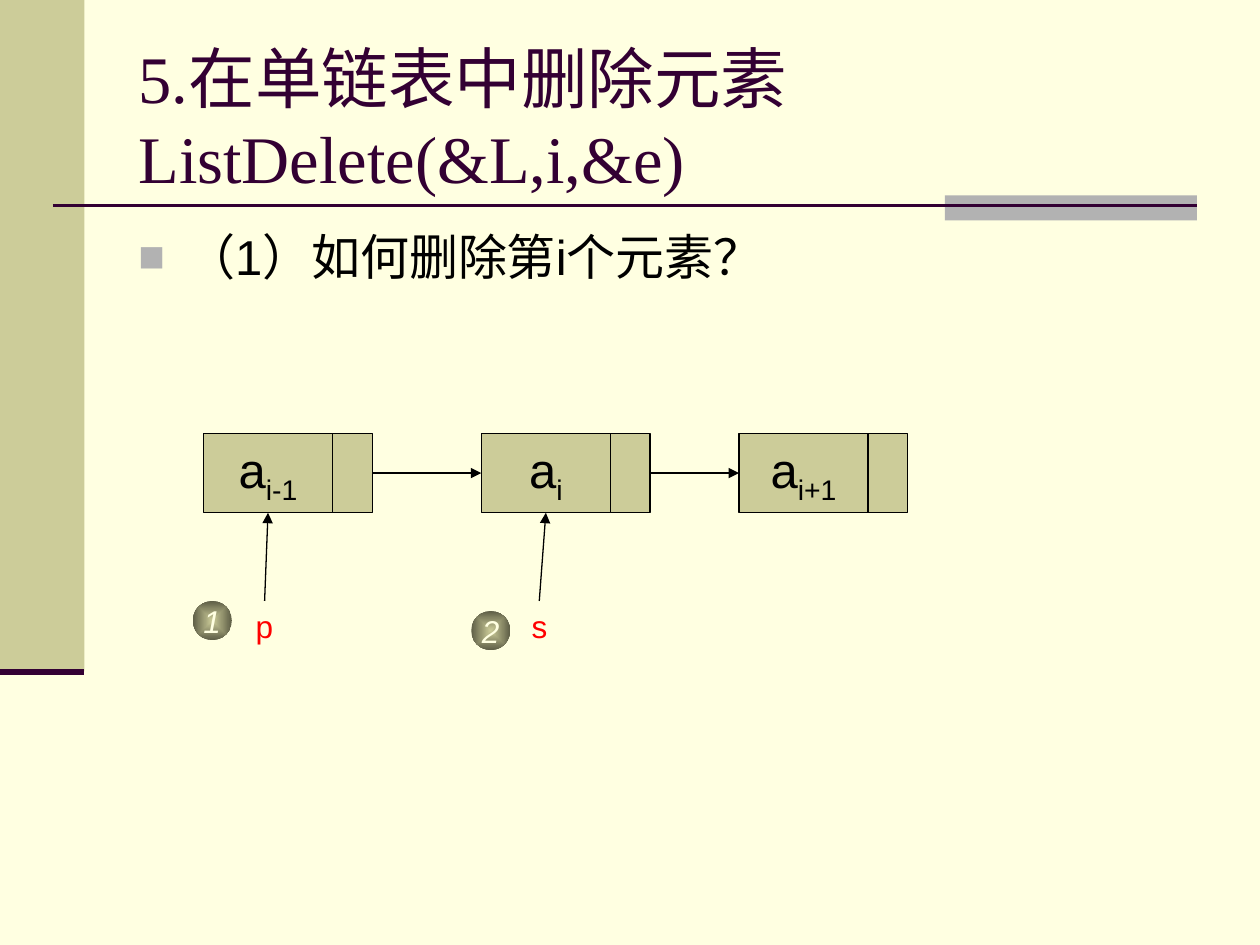
from lxml.etree import SubElement
from pptx import Presentation
from pptx.dml.color import RGBColor
from pptx.enum.shapes import MSO_CONNECTOR as Connector, MSO_SHAPE as Shape
from pptx.enum.text import MSO_ANCHOR as Anchor, MSO_AUTO_SIZE as Fit, PP_ALIGN as Align
from pptx.oxml.ns import qn
from pptx.util import Inches, Pt

color = RGBColor.from_string
PAPER, OLIVE, PLUM, GREY, BLACK, RED = "FFFFE1", "CCCC99", "330033", "B2B2B2", "000000", "FF0000"
CENTRED = {"word_wrap": False, "vertical_anchor": Anchor.MIDDLE}

deck = Presentation()
deck.slide_width, deck.slide_height = Inches(10), Inches(7.5)
unit = deck.slide_width // 100  # grid of 100 columns by 75 rows
slide = deck.slides.add_slide(deck.slide_layouts[5])
slide.background.fill.solid()
slide.background.fill.fore_color.rgb = color(PAPER)


def block(box, fill, outline=None, kind=Shape.RECTANGLE):
    shape = slide.shapes.add_shape(kind, *[round(n * unit) for n in box])
    shape.shadow.inherit = False
    shape.fill.solid()
    shape.fill.fore_color.rgb = color(fill)
    if outline:
        shape.line.color.rgb = color(outline)
        shape.line.width = Pt(0.75)
    else:
        shape.line.fill.background()
    return shape


def write(shape, text, size, ink, frame_format, align=Align.LEFT, subscript="", **font_format):
    frame = shape.text_frame
    for name, value in frame_format.items():
        setattr(frame, name, value)
    frame.text = text
    paragraph = frame.paragraphs[0]
    paragraph.alignment = align
    if subscript:
        low = paragraph.add_run()
        low.text = subscript
        low._r.get_or_add_rPr().set("baseline", "-25000")
    for run in paragraph.runs:
        for name, value in {"name": "Arial", "size": Pt(size), **font_format}.items():
            setattr(run.font, name, value)
        run.font.color.rgb = color(ink)
    return paragraph


# Side band and heading accent
block((0, 0, 6.7, 53.3), OLIVE)
block((75, 15.5, 20, 2), GREY)

# Title
title = slide.shapes.title
title.left, title.top, title.width, title.height = [round(n * unit) for n in (10, 3, 85, 12.5)]
write(title, "5.在单链表中删除元素\vListDelete(&L,i,&e)", 38, PLUM,
      {"word_wrap": True, "auto_size": Fit.NONE, "vertical_anchor": Anchor.MIDDLE},
      name="Times New Roman")

# Question with square bullet
question = slide.shapes.add_textbox(*[round(n * unit) for n in (10, 17.5, 85, 49.5)])
asked = write(question, "（1）如何删除第i个元素？", 28, BLACK, {"word_wrap": True})
asked.space_before = Pt(7)
bullet = asked._p.get_or_add_pPr()
bullet.set("marL", str(Inches(0.38)))
bullet.set("indent", str(-Inches(0.38)))
SubElement(SubElement(bullet, qn("a:buClr")), qn("a:srgbClr"), val=GREY)
SubElement(bullet, qn("a:buSzPct"), val="90000")
SubElement(bullet, qn("a:buFont"), typeface="Arial")
SubElement(bullet, qn("a:buChar"), char="■")

# List nodes: a data cell and a link cell each
DATA, LINK, NODE_TOP, NODE_HEIGHT = 10.25, 3.15, 34.4, 6.3
nodes = []
for left, index in ((16.15, "i-1"), (38.2, "i"), (58.65, "i+1")):
    data = block((left, NODE_TOP, DATA, NODE_HEIGHT), OLIVE, BLACK)
    link = block((left + DATA, NODE_TOP, LINK, NODE_HEIGHT), OLIVE, BLACK)
    write(data, "a", 28, BLACK, CENTRED, Align.CENTER, index)
    nodes.append((data, link))

arrows = [(link, 3, following, 1) for (_, link), (following, _) in zip(nodes, nodes[1:])]

# Numbered steps and the pointers they set
steps = (("1", 15.3, 47.7, "p", 19.3, 3.4), ("2", 37.4, 48.5, "s", 41.2, 3.2))
for (number, left, top, pointer, pointer_left, width), (data, _) in zip(steps, nodes):
    badge = block((left, top, 3.1, 3.1), OLIVE, kind=Shape.OVAL)
    badge.fill.gradient()
    for stop, shade in zip(badge.fill.gradient_stops, (OLIVE, "5E5E46")):
        stop.color.rgb = color(shade)
    gradient = badge._element.spPr.find(qn("a:gradFill"))
    gradient.remove(gradient.find(qn("a:lin")))
    SubElement(SubElement(gradient, qn("a:path"), {"path": "rect"}), qn("a:fillToRect"),
               dict.fromkeys("ltrb", "50000"))
    write(badge, number, 18, PAPER, CENTRED, Align.CENTER, italic=True)

    label = slide.shapes.add_textbox(*[round(n * unit) for n in (pointer_left, 47.7, width, 4)])
    write(label, pointer, 18, RED, {"word_wrap": False, "auto_size": Fit.SHAPE_TO_FIT_TEXT})
    arrows.append((label, 0, data, 2))

# Heading rule and the foot of the side band
lines = []
for ends, weight in (((4.2, 16.3, 95, 16.3), 1.5), ((0, 53.3, 6.7, 53.3), 3.5)):
    rule = slide.shapes.add_connector(Connector.STRAIGHT, *[round(n * unit) for n in ends])
    lines.append((rule, PLUM, weight))

# Arrows between nodes and from pointers
for source, source_side, target, target_side in arrows:
    arrow = slide.shapes.add_connector(Connector.STRAIGHT, 0, 0, 0, 0)
    arrow.begin_connect(source, source_side)
    arrow.end_connect(target, target_side)
    SubElement(arrow.line._get_or_add_ln(), qn("a:tailEnd"), type="triangle")
    lines.append((arrow, BLACK, 0.75))

for line, ink, weight in lines:
    line.line.color.rgb = color(ink)
    line.line.width = Pt(weight)
    SubElement(line._element.spPr, qn("a:effectLst"))

deck.save("out.pptx")
